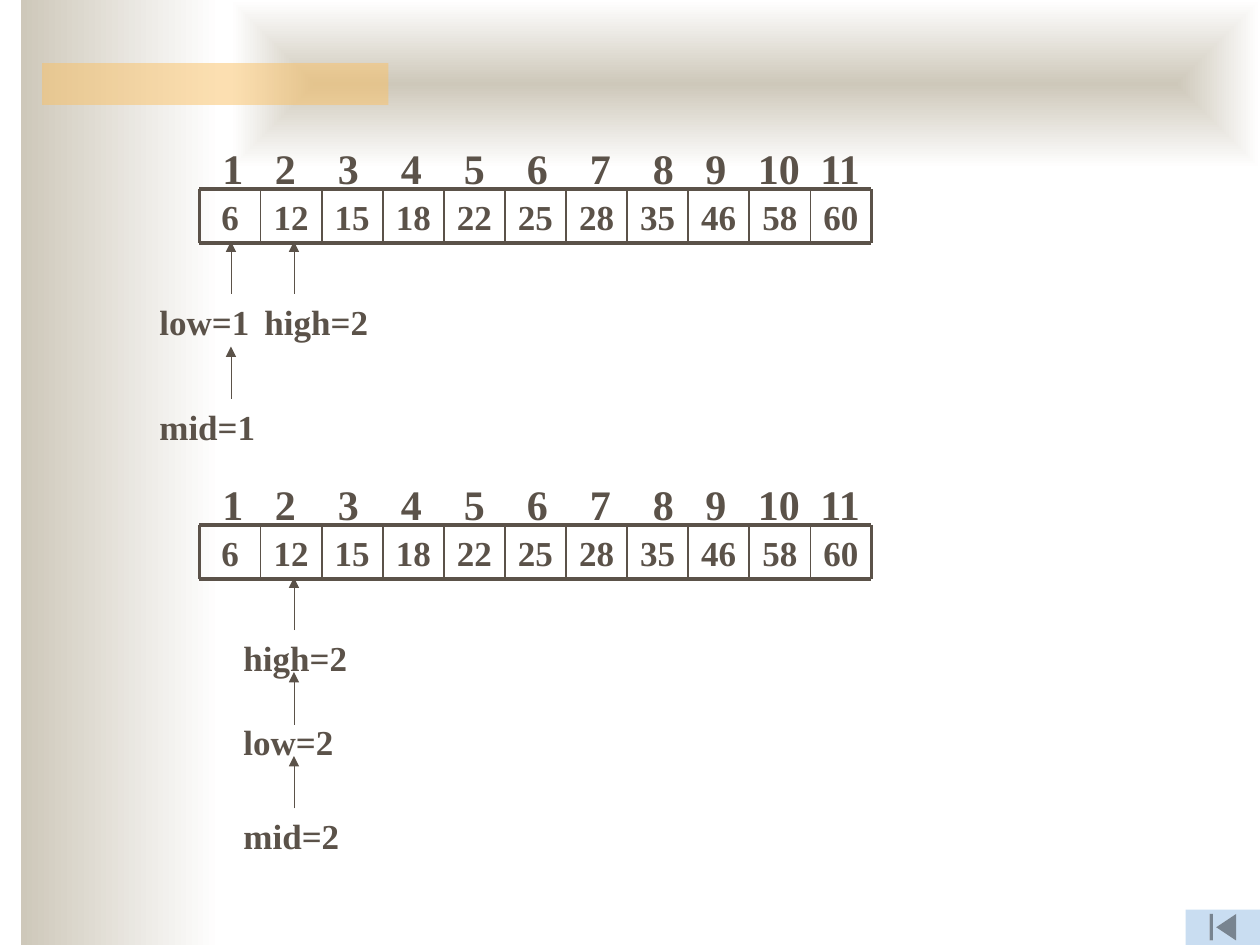
from dataclasses import dataclass
from itertools import accumulate

from lxml.etree import SubElement
from pptx import Presentation
from pptx.dml.color import RGBColor
from pptx.enum.shapes import MSO_CONNECTOR as Connector, MSO_SHAPE as Shape
from pptx.enum.text import PP_ALIGN as Align
from pptx.oxml.ns import qn
from pptx.util import Pt


@dataclass(frozen=True)
class Theme:
    font: str = "Times New Roman"
    ink: str = "5B5249"
    sand: str = "CEC8BA"
    white: str = "FFFFFF"
    amber: str = "FAC164"
    button: str = "C9DDF1"
    body_size: float = 20
    index_size: float = 24
    frame_width: float = 2.25
    rule_width: float = 1


VALUES = [6, 12, 15, 18, 22, 25, 28, 35, 46, 58, 60]
INDEX_TABS = list(accumulate([24, 30] + [36] * 6 + [30, 36, 35]))
ARRAY_LEFT, ARRAY_WIDTH, ARRAY_HEIGHT = 114, 384, 31
ARROW_LENGTH = 30
STEPS = [
    {
        "top": 108,
        "arrows": [(132, 138), (132, 198), (168, 138)],
        "labels": [("low=1", 84, 168), ("mid=1", 84, 228), ("high=2", 144, 168)],
    },
    {
        "top": 300,
        "arrows": [(168, 384), (168, 432), (168, 330)],
        "labels": [("low=2", 132, 408), ("mid=2", 132, 462), ("high=2", 132, 360)],
    },
]


def write_text(frame, text, *, size, font, color, align=Align.LEFT, tabs=()):
    para = frame.paragraphs[0]
    para.alignment = align
    if tabs:
        tab_list = SubElement(para._p.get_or_add_pPr(), qn("a:tabLst"))
        for position in tabs:
            SubElement(tab_list, qn("a:tab"), pos=str(Pt(position)), algn="ctr")
    span = para.add_run()
    span.text = text
    span.font.name = font
    span.font.size = Pt(size)
    span.font.bold = True
    span.font.color.rgb = RGBColor.from_string(color)


class PageBuilder:
    def __init__(self, page, theme):
        self.page = page
        self.theme = theme

    def shape(self, kind, left, top, width, height, color, opacity=100):
        box = self.page.shapes.add_shape(kind, Pt(left), Pt(top), Pt(width), Pt(height))
        box.shadow.inherit = False
        box.line.fill.background()
        box.fill.solid()
        box.fill.fore_color.rgb = RGBColor.from_string(color)
        if opacity < 100:
            tint = box._element.spPr.find(".//" + qn("a:srgbClr"))
            SubElement(tint, qn("a:alpha"), val=str(opacity * 1000))
        return box

    def gradient(self, left, top, width, height, from_center=False):
        theme = self.theme
        box = self.shape(Shape.RECTANGLE, left, top, width, height, theme.sand)
        box.fill.gradient()
        box.fill.gradient_angle = 0
        for stop, color in zip(box.fill.gradient_stops, (theme.sand, theme.white)):
            stop.color.rgb = RGBColor.from_string(color)
        if from_center:
            blend = box._element.spPr.find(qn("a:gradFill"))
            blend.remove(blend.find(qn("a:lin")))
            outline = SubElement(blend, qn("a:path"), path="rect")
            middle = dict.fromkeys("ltrb", "50000")
            SubElement(outline, qn("a:fillToRect"), **middle)

    def text(self, text, left, top, width, height, size, align=Align.LEFT, tabs=()):
        box = self.page.shapes.add_textbox(Pt(left), Pt(top), Pt(width), Pt(height))
        box.text_frame.word_wrap = True
        write_text(box.text_frame, text, size=size, font=self.theme.font,
                   color=self.theme.ink, align=align, tabs=tabs)

    def line(self, x1, y1, x2, y2, width=None):
        line = self.page.shapes.add_connector(
            Connector.STRAIGHT, Pt(x1), Pt(y1), Pt(x2), Pt(y2))
        line.line.color.rgb = RGBColor.from_string(self.theme.ink)
        if width:
            line.line.width = Pt(width)
        SubElement(line._element.spPr, qn("a:effectLst"))
        return line

    def up_arrow(self, x, tip):
        arrow = self.line(x, tip + ARROW_LENGTH, x, tip)
        arrow._element.remove(arrow._element.find(qn("p:style")))
        SubElement(arrow.line._get_or_add_ln(), qn("a:tailEnd"), type="triangle")

    def array(self, values, top):
        theme = self.theme
        count = len(values)
        step = ARRAY_WIDTH / count
        right, bottom = ARRAY_LEFT + ARRAY_WIDTH, top + ARRAY_HEIGHT
        for column, value in enumerate(values):
            self.text(str(value), ARRAY_LEFT + column * step, top, step, ARRAY_HEIGHT,
                      theme.body_size, align=Align.CENTER)
        for y in (top, bottom):
            self.line(ARRAY_LEFT, y, right, y, theme.frame_width)
        for column in range(count + 1):
            x = ARRAY_LEFT + column * step
            width = theme.frame_width if column in (0, count) else theme.rule_width
            self.line(x, top, x, bottom, width)


def main():
    theme = Theme()
    deck = Presentation()
    deck.slide_width, deck.slide_height = Pt(720), Pt(540)
    builder = PageBuilder(deck.slides.add_slide(deck.slide_layouts[6]), theme)

    builder.gradient(12, 0, 114, 540)
    builder.gradient(132, 0, 588, 96, from_center=True)
    builder.shape(Shape.RECTANGLE, 24, 36, 198, 24, theme.amber, opacity=50)
    builder.shape(Shape.ACTION_BUTTON_BEGINNING, 677.5, 519.75, 42.5, 20.25, theme.button)

    indexes = "".join(f"\t{number}" for number in range(1, len(VALUES) + 1))
    for step in STEPS:
        builder.array(VALUES, step["top"])
        builder.text(indexes, 102, step["top"] - 30, 408, 36, theme.index_size,
                     tabs=INDEX_TABS)
        for x, tip in step["arrows"]:
            builder.up_arrow(x, tip)
        for label, left, top in step["labels"]:
            width = 66 if label.startswith("low") else 78
            builder.text(label, left, top, width, 32, theme.body_size)

    deck.save("out.pptx")


if __name__ == "__main__":
    main()
